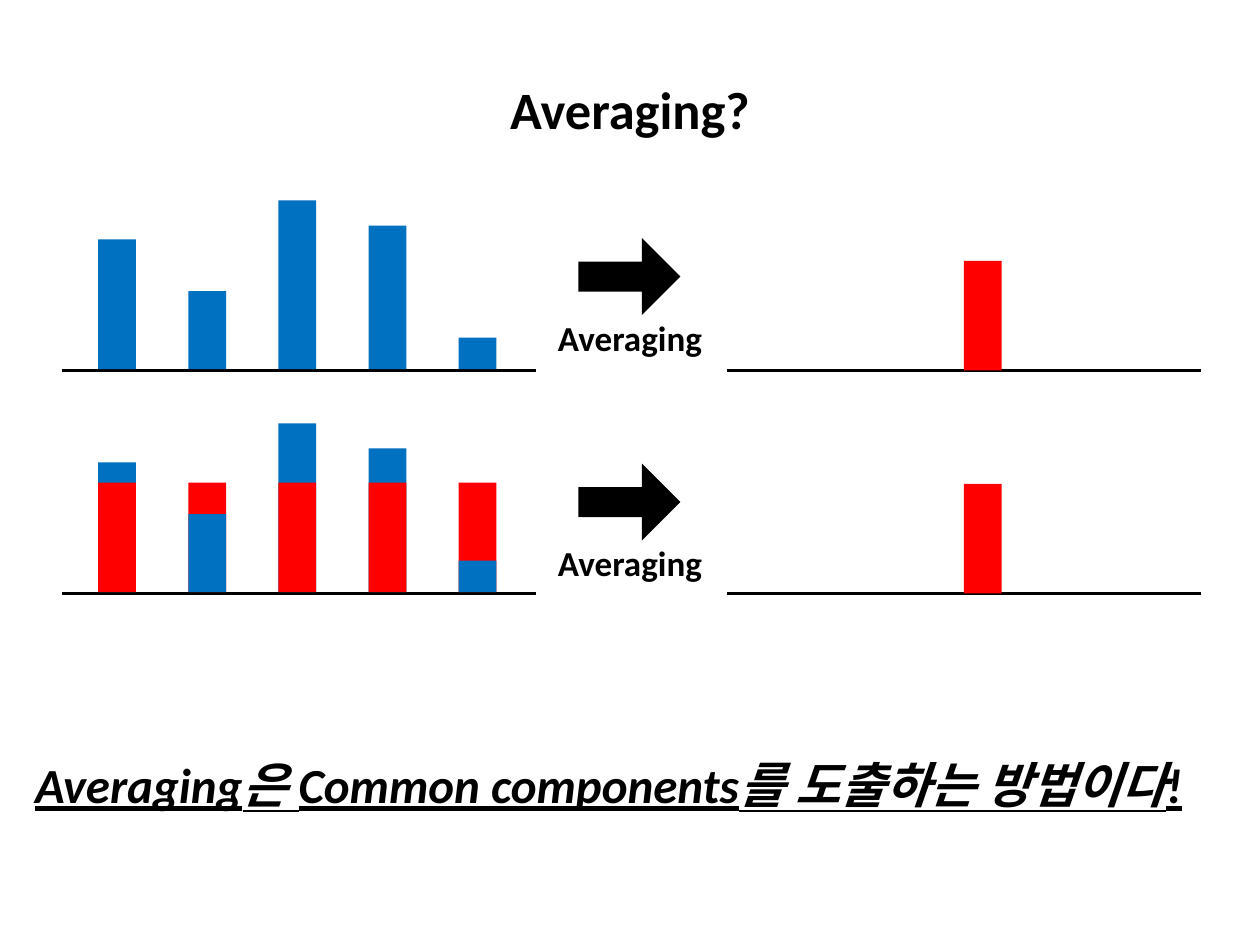
from pptx import Presentation
from pptx.dml.color import RGBColor
from pptx.enum.shapes import MSO_CONNECTOR, MSO_SHAPE
from pptx.enum.text import MSO_ANCHOR, MSO_AUTO_SIZE, PP_ALIGN
from pptx.oxml.xmlchemy import OxmlElement
from pptx.util import Inches, Pt

RECT, ARROW = MSO_SHAPE.RECTANGLE, MSO_SHAPE.RIGHT_ARROW
LINE = MSO_CONNECTOR.STRAIGHT
LEFT, CENTER = PP_ALIGN.LEFT, PP_ALIGN.CENTER
TOP, FIT = MSO_ANCHOR.TOP, MSO_AUTO_SIZE.SHAPE_TO_FIT_TEXT

BLACK = RGBColor(0x00, 0x00, 0x00)
BLUE = RGBColor(0x00, 0x70, 0xC0)
RED = RGBColor(0xFF, 0x00, 0x00)

deck = Presentation()
deck.slide_width, deck.slide_height = Inches(10), Inches(7.5)
slide = deck.slides.add_slide(deck.slide_layouts[5])
shapes = slide.shapes


def block(kind, x, y, w, h, color):
    shape = shapes.add_shape(kind, Inches(x), Inches(y), Inches(w), Inches(h))
    shape.shadow.inherit = False
    shape.fill.solid()
    shape.fill.fore_color.rgb = color
    shape.line.fill.background()
    return shape


def write(box, text, x, y, w, h, size, align=CENTER, accent=False):
    box.left, box.top = Inches(x), Inches(y)
    box.width, box.height = Inches(w), Inches(h)
    frame = box.text_frame
    frame.text = text
    frame.word_wrap = False
    frame.auto_size = FIT
    frame.vertical_anchor = TOP
    para = frame.paragraphs[0]
    para.alignment = align
    font = para.font
    font.name, font.size, font.bold = "Calibri", Pt(size), True
    font.italic = font.underline = accent
    font.color.rgb = BLACK


write(shapes.title, "Averaging?", 3.94, 0.56, 2.12, 0.61, 30)

heights = [1.03, 0.62, 1.34, 1.14, 0.25]
mean = 0.87
first, pitch, wide = 0.78, 0.715, 0.3

for base, top, split in [(2.94, 1.89, False), (4.71, 3.68, True)]:
    for start in (0.49, 5.77):
        axis = shapes.add_connector(
            LINE, Inches(start), Inches(base), Inches(start + 3.76), Inches(base))
        axis.line.color.rgb = BLACK
        axis.line.width = Pt(2)
        axis._element.spPr.append(OxmlElement("a:effectLst"))

    for i, height in enumerate(heights):
        bars = [(height, BLUE)]
        if split:
            bars.append((mean, RED))
        for tall, color in sorted(bars, reverse=True):
            block(RECT, first + i * pitch, base - 0.01 - tall, wide, tall, color)

    block(RECT, 7.65, base - mean, wide, mean, RED)
    arrow = block(ARROW, 4.59, top, 0.81, 0.61, BLACK)
    arrow.adjustments[0] = 0.39
    label = shapes.add_textbox(0, 0, 0, 0)
    write(label, "Averaging", 4.32, top + 0.57, 1.36, 0.44, 20)

claim = shapes.add_textbox(0, 0, 0, 0)
write(claim, "Averaging은 Common components를 도출하는 방법이다!",
      0.18, 5.94, 9.72, 0.57, 28, LEFT, True)

deck.save("out.pptx")
